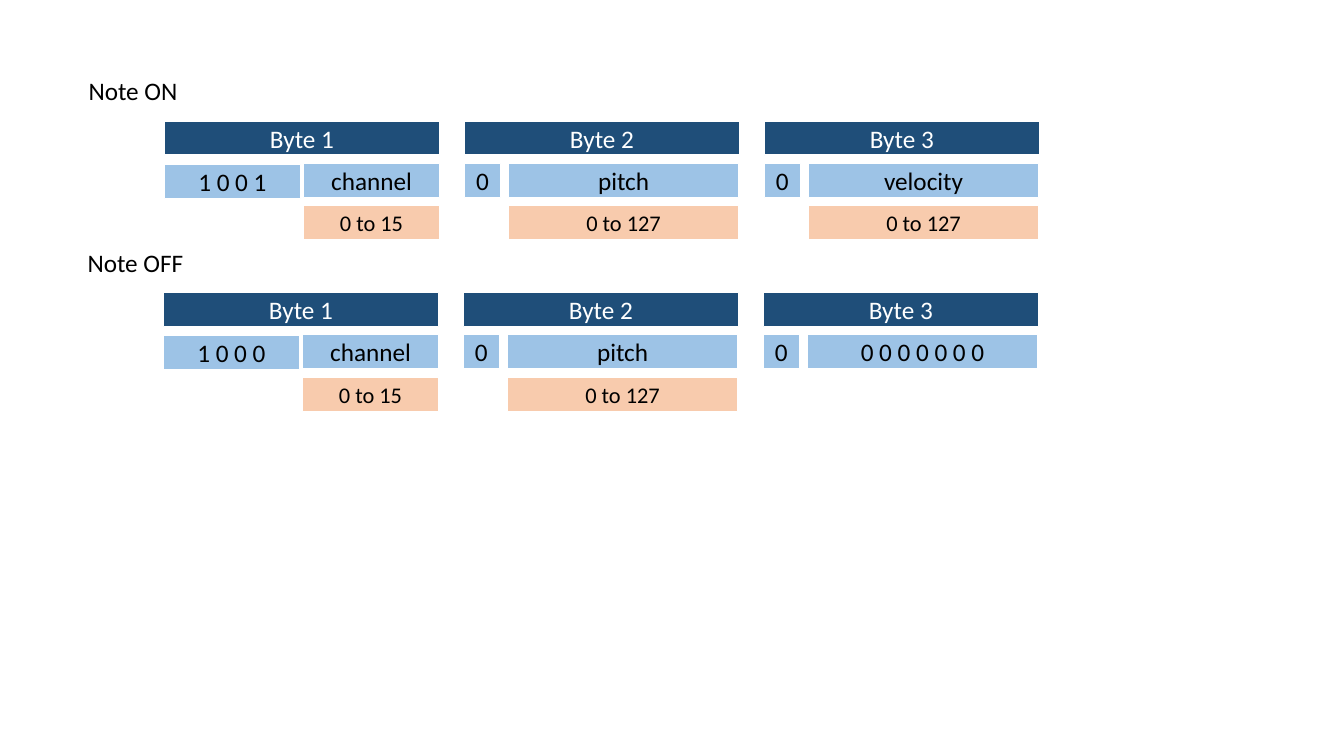
import pptx
import pptx.util
import pptx.dml.color
import pptx.enum.shapes
import pptx.enum.text

Inches = pptx.util.Inches
Pt = pptx.util.Pt

COLORS = {
    "head": "1F4E79",
    "bits": "9DC3E6",
    "range": "F8CBAD",
    "white": "FFFFFF",
    "black": "000000",
}
FONT = "Calibri"
STEP = 2.975   # from one byte to the next
WIDE = 2.73    # width of a byte
HIGH = 0.34    # height of a cell
ROW = 0.42     # from one row to the next

# Each field: left within the byte, width, drop below the row, bits, range
HALF = 1.35
CHANNEL = (1.38, HALF, 0, "channel", "0 to 15")
FLAG = (0, 0.36, 0, "0", None)


def status(bits):
    return [(0, HALF, 0.01, bits, None), CHANNEL]


def data(name, span):
    return [FLAG, (0.44, 2.28, 0, name, span)]


MESSAGES = [
    ("Note ON", 1.09, 0.78, 0.7,
     [status("1 0 0 1"), data("pitch", "0 to 127"),
      data("velocity", "0 to 127")]),
    ("Note OFF", 1.16, 0.77, 2.4,
     [status("1 0 0 0"), data("pitch", "0 to 127"),
      data("0 0 0 0 0 0 0", None)]),
]


def rgb(name):
    return pptx.dml.color.RGBColor.from_string(COLORS[name])


def write(frame, text, size, color):
    run = frame.paragraphs[0].add_run()
    run.text = text
    run.font.name = FONT
    run.font.size = Pt(size)
    run.font.color.rgb = rgb(color)


def cell(slide, left, top, width, text, fill, size=18, color="black"):
    box = slide.shapes.add_shape(
        pptx.enum.shapes.MSO_SHAPE.RECTANGLE,
        Inches(left), Inches(top), Inches(width), Inches(HIGH))
    box.shadow.inherit = False
    box.fill.solid()
    box.fill.fore_color.rgb = rgb(fill)
    box.line.color.rgb = rgb("white")
    box.line.width = Pt(1)
    frame = box.text_frame
    frame.vertical_anchor = pptx.enum.text.MSO_ANCHOR.MIDDLE
    frame.paragraphs[0].alignment = pptx.enum.text.PP_ALIGN.CENTER
    write(frame, text, size, color)


def title(slide, left, top, width, text):
    box = slide.shapes.add_textbox(
        Inches(left), Inches(top), Inches(width), Inches(0.4))
    frame = box.text_frame
    frame.word_wrap = False
    frame.auto_size = pptx.enum.text.MSO_AUTO_SIZE.SHAPE_TO_FIT_TEXT
    write(frame, text, 18, "black")


def byte(slide, left, top, number, fields):
    # Header, then the bit fields with their value ranges
    cell(slide, left, top, WIDE, f"Byte {number}", "head", color="white")
    for shift, width, drop, bits, span in fields:
        cell(slide, left + shift, top + ROW + drop, width, bits, "bits")
        if span:
            cell(slide, left + shift, top + 2 * ROW, width, span, "range", 16)


def message(slide, left, top, width, name, parts):
    # Name on top, bytes indented below it
    title(slide, left, top, width, name)
    for i, fields in enumerate(parts):
        byte(slide, left + 0.85 + i * STEP, top + 0.5, i + 1, fields)


def main():
    deck = pptx.Presentation()
    deck.slide_width = Inches(13.33)
    deck.slide_height = Inches(7.5)
    slide = deck.slides.add_slide(deck.slide_layouts[6])
    for name, width, left, top, parts in MESSAGES:
        message(slide, left, top, width, name, parts)
    deck.save("out.pptx")


if __name__ == "__main__":
    main()
